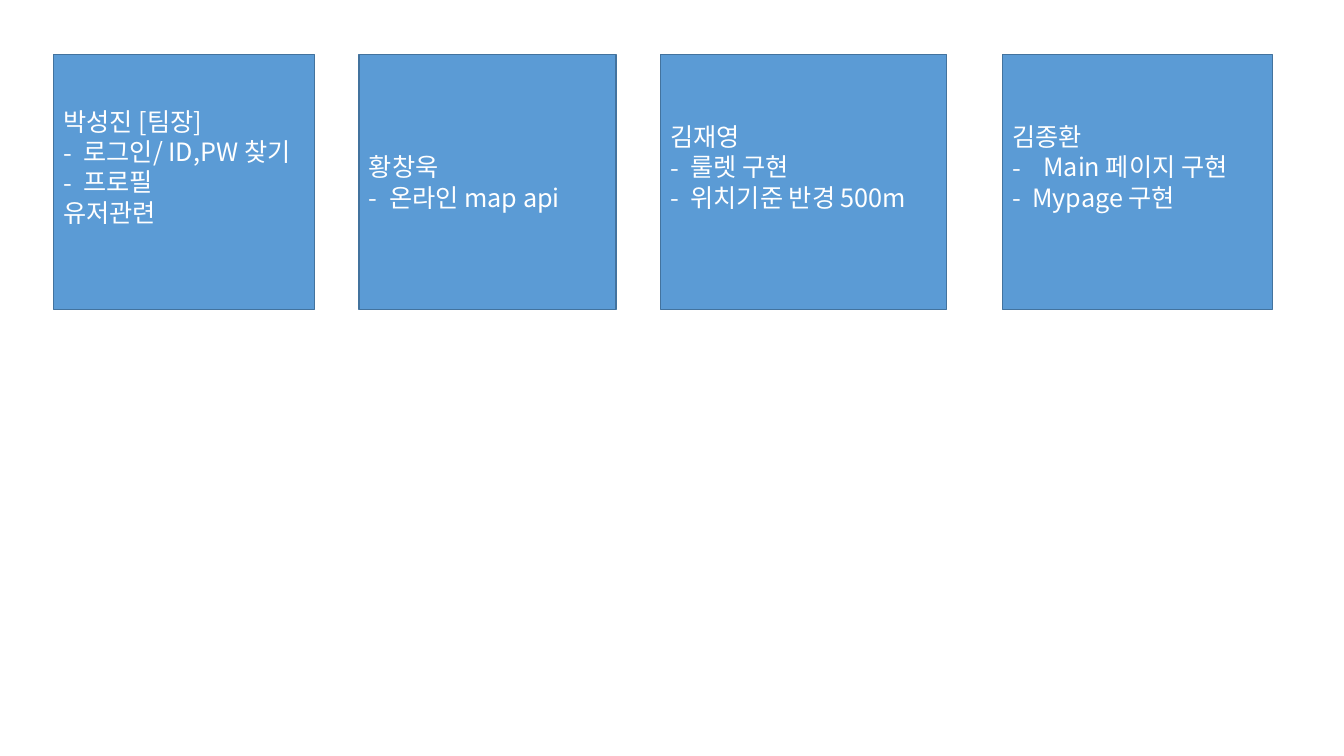
from dataclasses import dataclass

from lxml import etree
from pptx import Presentation
from pptx.dml.color import RGBColor
from pptx.enum.shapes import MSO_SHAPE
from pptx.enum.text import MSO_ANCHOR, PP_ALIGN
from pptx.oxml.ns import qn
from pptx.util import Inches, Pt

RECT = MSO_SHAPE.RECTANGLE
MIDDLE = MSO_ANCHOR.MIDDLE
LEFT = PP_ALIGN.LEFT


@dataclass(frozen=True)
class Theme:
    font: str = "Noto Sans CJK KR"
    size: int = 18
    fill: RGBColor = RGBColor(0x5B, 0x9B, 0xD5)
    edge: RGBColor = RGBColor(0x43, 0x73, 0x9E)
    text: RGBColor = RGBColor(0xFF, 0xFF, 0xFF)
    edge_width: int = 1
    hang: float = 0.2
    pad: float = 0.05
    lift: float = 0.3


THEME = Theme()
WIDTH, HEIGHT = 13.33, 7.5
TOP, TALL = 0.54, 2.53

# left, width, raised text, name, tasks, closing line, hanging indents
MEMBERS = [
    (0.53, 2.59, True, "박성진 [팀장]",
     [("로그인/ ID,PW 찾기", THEME.hang), ("프로필", THEME.hang)], "유저관련"),
    (3.56, 2.55, False, "황창욱", [("온라인 map api", THEME.hang)], None),
    (6.55, 2.84, True, "김재영",
     [("룰렛 구현", THEME.hang), ("위치기준 반경 500m", THEME.hang)], None),
    (9.94, 2.68, True, "김종환",
     [("Main 페이지 구현", 0.31), ("Mypage 구현", THEME.hang)], None),
]


def add_dash(para, hang):
    """Give the paragraph a dash bullet with a hanging indent in inches."""
    props = para._p.get_or_add_pPr()
    props.set("marL", str(Inches(hang)))
    props.set("indent", str(-Inches(hang)))
    etree.SubElement(props, qn("a:buFont"), typeface=THEME.font)
    etree.SubElement(props, qn("a:buChar"), char="-")


def write(para, text, size=THEME.size, color=THEME.text, hang=None):
    para.alignment = LEFT
    if hang:
        add_dash(para, hang)
    run = para.add_run()
    run.text = text
    run.font.size = Pt(size)
    run.font.color.rgb = color
    run.font.name = THEME.font
    etree.SubElement(run._r.get_or_add_rPr(), qn("a:ea"), typeface=THEME.font)


def add_card(slide, box, lines, raised):
    """Draw one member's card; raised text sits above the middle."""
    card = slide.shapes.add_shape(RECT, *map(Inches, box))
    card.shadow.inherit = False
    card.fill.solid()
    card.fill.fore_color.rgb = THEME.fill
    card.line.color.rgb = THEME.edge
    card.line.width = Pt(THEME.edge_width)
    frame = card.text_frame
    frame.word_wrap = True
    frame.vertical_anchor = MIDDLE
    frame.margin_bottom = Inches(THEME.pad + THEME.lift * raised)
    for i, (text, hang) in enumerate(lines):
        para = frame.add_paragraph() if i else frame.paragraphs[0]
        write(para, text, hang=hang)


def add_team(slide, top, tall):
    for left, wide, raised, name, tasks, close in MEMBERS:
        lines = [(name, None), *tasks]
        if close:
            lines.append((close, None))
        add_card(slide, (left, top, wide, tall), lines, raised)


def main():
    deck = Presentation()
    deck.slide_width, deck.slide_height = Inches(WIDTH), Inches(HEIGHT)
    slide = deck.slides.add_slide(deck.slide_layouts[6])
    add_team(slide, TOP, TALL)
    deck.save("out.pptx")


if __name__ == "__main__":
    main()
